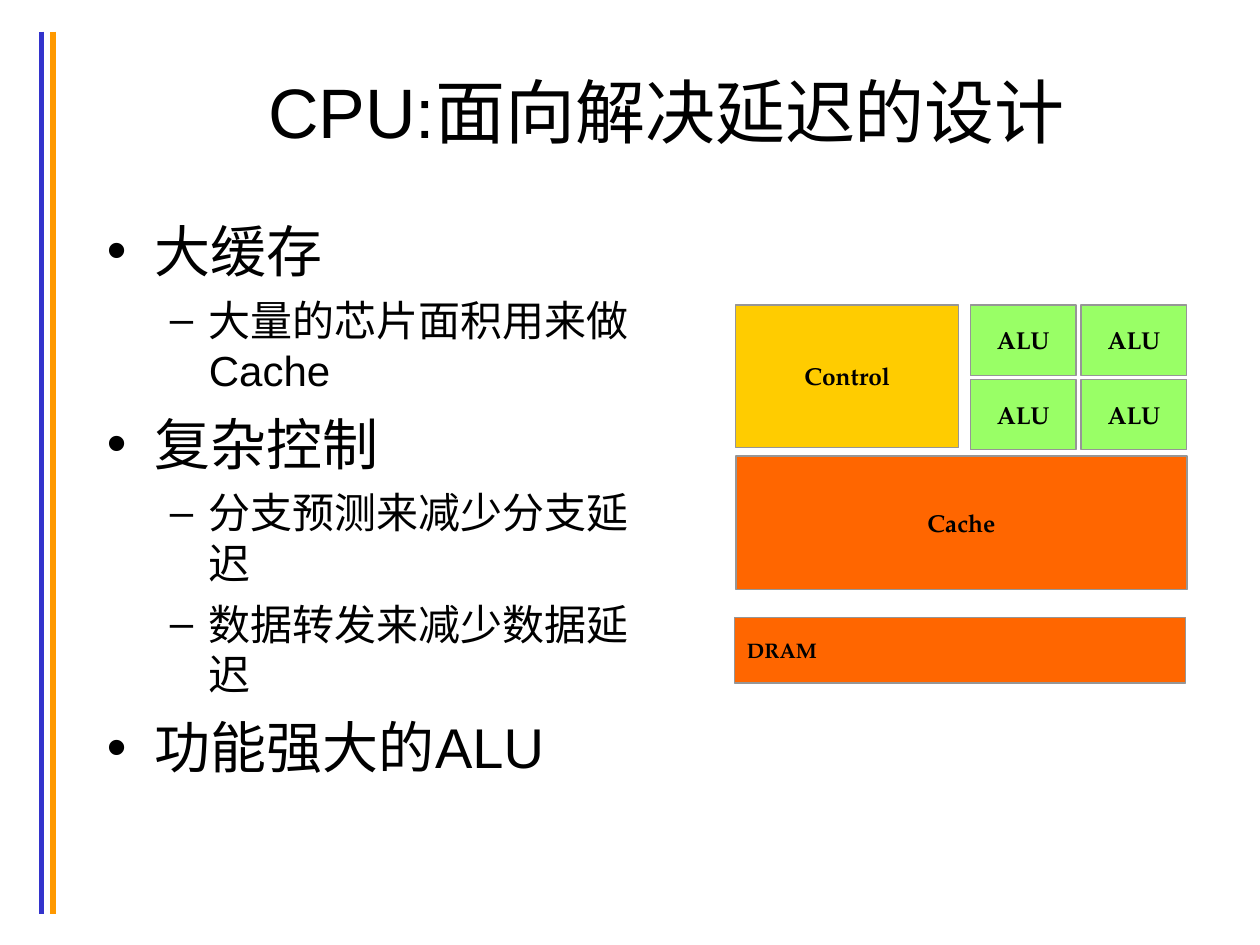
from itertools import product

from lxml.etree import SubElement
from pptx import Presentation
from pptx.dml.color import RGBColor
from pptx.enum.shapes import MSO_CONNECTOR, MSO_SHAPE
from pptx.enum.text import MSO_ANCHOR, PP_ALIGN
from pptx.oxml.ns import qn
from pptx.util import Inches, Pt

LEVELS = [
    {"bullet": "•", "size": 32, "before": 8, "margin": 0.38, "indent": -0.38},
    {"bullet": "–", "size": 24, "before": 6, "margin": 0.81, "indent": -0.31},
]
POINTS = [
    (0, "大缓存"),
    (1, "大量的芯片面积用来做Cache"),
    (0, "复杂控制"),
    (1, "分支预测来减少分支延迟"),
    (1, "数据转发来减少数据延迟"),
    (0, "功能强大的ALU"),
]


def set_color(fmt, value):
    fmt.rgb = RGBColor.from_string(value)


def set_attrs(obj, values):
    for name, value in values.items():
        setattr(obj, name, value)


def add_run(p, text, size, font="Arial", bold=False):
    r = p.add_run()
    r.text = text
    set_attrs(r.font, {"size": Pt(size), "name": font, "bold": bold})
    set_color(r.font.color, "000000")


def add_bar(slide, x, color):
    line = slide.shapes.add_connector(
        MSO_CONNECTOR.STRAIGHT, Inches(x), Inches(0.25), Inches(x), Inches(7.25))
    set_color(line.line.color, color)
    line.line.width = Pt(3)
    SubElement(line._element.spPr, qn("a:effectLst"))


def add_text_box(slide, x, y, w, h, anchor):
    sp = slide.shapes.add_textbox(Inches(x), Inches(y), Inches(w), Inches(h))
    tf = sp.text_frame
    set_attrs(tf, {"word_wrap": True, "vertical_anchor": anchor})
    return tf


def add_title(slide, text):
    p = add_text_box(slide, 0.75, 0.25, 9.08, 1.25, MSO_ANCHOR.MIDDLE).paragraphs[0]
    p.alignment = PP_ALIGN.CENTER
    add_run(p, text, 40)


def add_bullets(slide, points):
    tf = add_text_box(slide, 0.75, 1.67, 4.46, 5, MSO_ANCHOR.TOP)
    for i, (level, text) in enumerate(points):
        p = tf.add_paragraph() if i else tf.paragraphs[0]
        style = LEVELS[level]
        set_attrs(p, {"level": level, "space_before": Pt(style["before"])})
        pPr = p._p.get_or_add_pPr()
        pPr.set("marL", str(Inches(style["margin"])))
        pPr.set("indent", str(Inches(style["indent"])))
        SubElement(pPr, qn("a:buFont")).set("typeface", "Arial")
        SubElement(pPr, qn("a:buChar")).set("char", style["bullet"])
        add_run(p, text, style["size"])


def add_block(slide, text, x, y, w, h, fill, size=14, align=PP_ALIGN.CENTER, inset=0):
    sp = slide.shapes.add_shape(
        MSO_SHAPE.RECTANGLE, Inches(x), Inches(y), Inches(w), Inches(h))
    sp.shadow.inherit = False
    sp.fill.solid()
    set_color(sp.fill.fore_color, fill)
    set_color(sp.line.color, "969696")
    sp.line.width = Pt(0.75)
    tf = sp.text_frame
    set_attrs(tf, {
        "margin_left": Inches(inset), "margin_right": 0,
        "margin_top": 0, "margin_bottom": 0,
        "vertical_anchor": MSO_ANCHOR.MIDDLE, "word_wrap": True,
    })
    p = tf.paragraphs[0]
    p.alignment = align
    add_run(p, text, size, "TeX Gyre Pagella", True)


def add_cpu_diagram(slide):
    add_block(slide, "Cache", 5.84, 3.62, 3.58, 1.06, "FF6600")
    add_block(slide, "Control", 5.84, 2.42, 1.77, 1.13, "FFCC00")
    for row, col in product(range(2), repeat=2):
        add_block(slide, "ALU", 7.7 + 0.88 * col, 2.42 + 0.59 * row,
                  0.84, 0.56, "99FF66")
    add_block(slide, "DRAM", 5.83, 4.9, 3.58, 0.52, "FF6600",
              size=12, align=PP_ALIGN.LEFT, inset=0.1)


def main():
    prs = Presentation()
    set_attrs(prs, {"slide_width": Inches(10), "slide_height": Inches(7.5)})
    slide = prs.slides.add_slide(prs.slide_layouts[6])
    add_bar(slide, 0.33, "3333CC")
    add_bar(slide, 0.42, "FF9900")
    add_title(slide, "CPU:面向解决延迟的设计")
    add_bullets(slide, POINTS)
    add_cpu_diagram(slide)
    prs.save("out.pptx")


if __name__ == "__main__":
    main()
